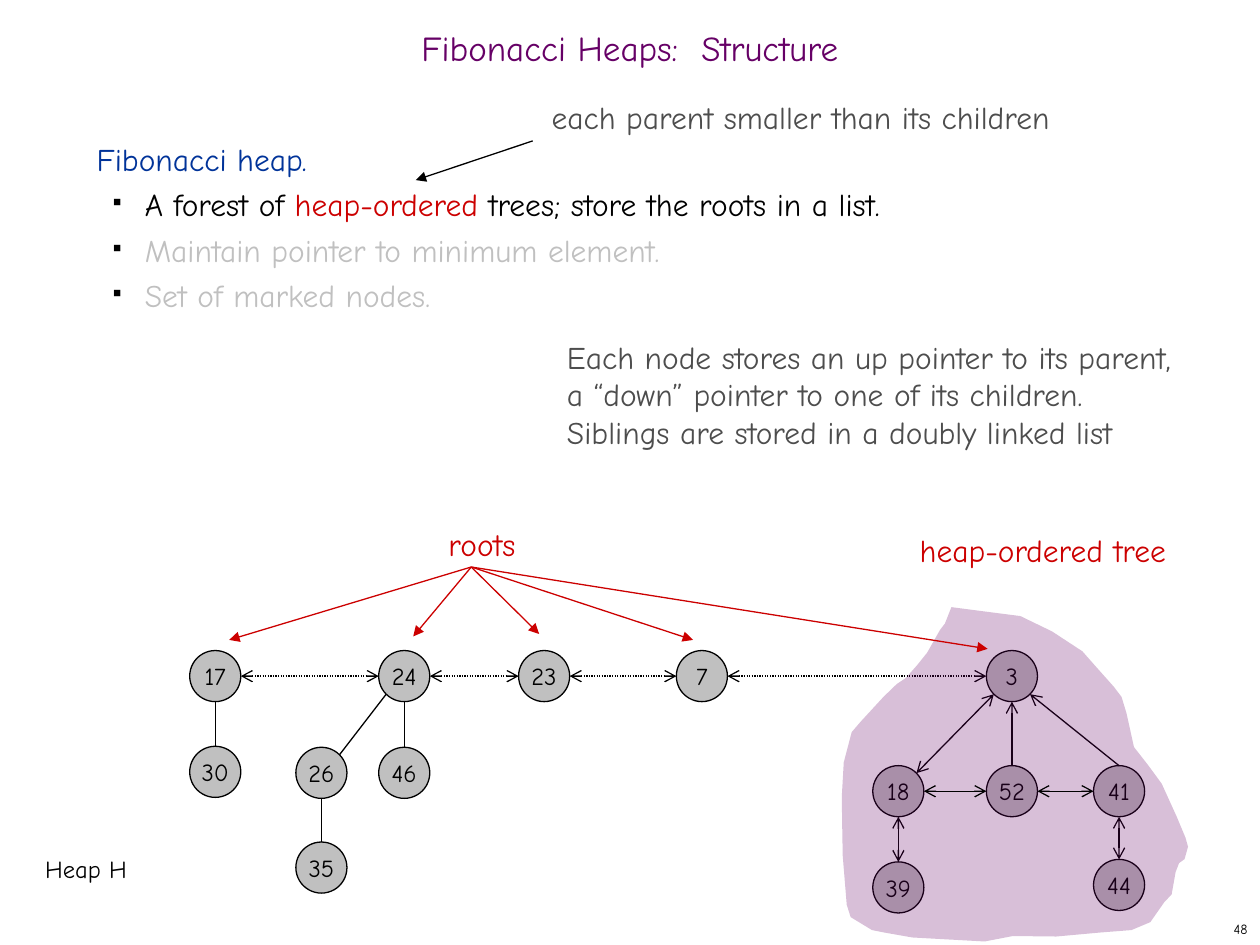
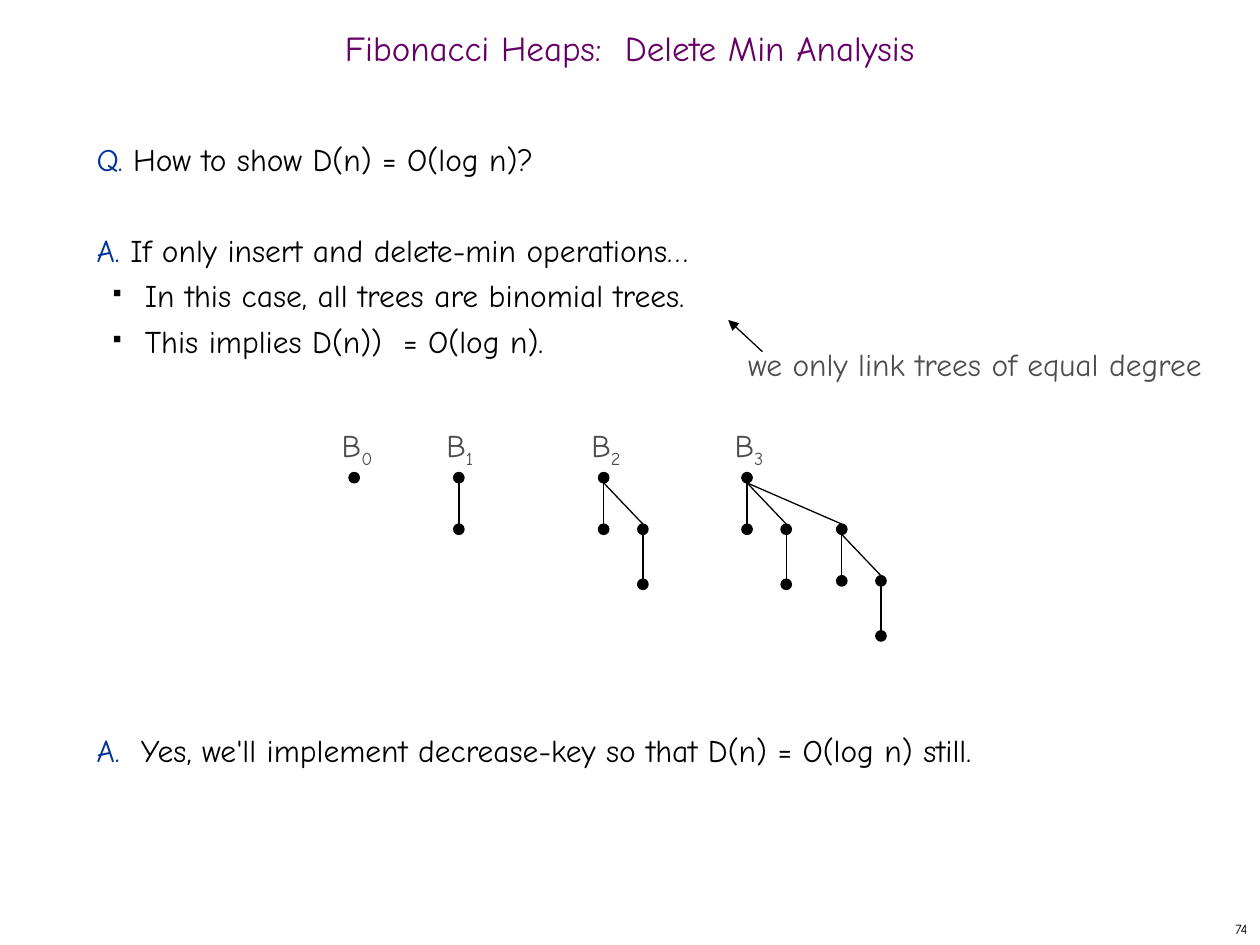
"""Build two slides on Fibonacci heaps: structure and delete-min analysis."""
import dataclasses
import math

import lxml.etree
import pptx
import pptx.dml.color
import pptx.enum.dml
import pptx.enum.shapes
import pptx.enum.text
import pptx.oxml.ns
import pptx.util

Cm = pptx.util.Cm
Pt = pptx.util.Pt
ALIGN = pptx.enum.text.PP_ALIGN
ANCHOR = pptx.enum.text.MSO_ANCHOR
OVAL = pptx.enum.shapes.MSO_SHAPE.OVAL
STRAIGHT = pptx.enum.shapes.MSO_CONNECTOR.STRAIGHT
qn = pptx.oxml.ns.qn

TOP, BOTTOM, LEFT, RIGHT = (0, -1), (0, 1), (-1, 0), (1, 0)
TOP_RIGHT, BOTTOM_LEFT, BOTTOM_RIGHT = (1, -1), (-1, 1), (1, 1)


@dataclasses.dataclass(frozen=True)
class Theme:
    font: str = "Comic Neue"
    black: str = "000000"
    purple: str = "660066"
    blue: str = "003399"
    red: str = "CC0000"
    grey: str = "4D4D4D"
    silver: str = "C0C0C0"
    dot: str = "010000"
    title_size: int = 20
    body_size: int = 18
    node_size: int = 14
    number_size: int = 8
    leading: int = 26
    line_width: float = 0.75
    node: float = 1.03
    dot_width: float = 0.21


class Deck:
    def __init__(self, theme):
        self.theme = theme
        self.prs = pptx.Presentation()
        self.prs.slide_width, self.prs.slide_height = Cm(25.4), Cm(19.05)
        self.s = None

    def slide(self, title, number):
        t = self.theme
        self.s = self.prs.slides.add_slide(self.prs.slide_layouts[6])
        tf = self.text(0, 0.43, 25.4, 1.27, [[(title, t.purple)]], t.title_size,
                       ALIGN.CENTER, ANCHOR.MIDDLE, wrap=True)
        tf.paragraphs[0].line_spacing = 0.7
        self.text(20.12, 18.42, 5.28, 0.63, [[(number, t.black)]], t.number_size,
                  ALIGN.RIGHT, ANCHOR.MIDDLE)

    def rgb(self, color):
        return pptx.dml.color.RGBColor.from_string(color)

    def style_run(self, r, size, color):
        r.font.name = self.theme.font
        r.font.size = Pt(size)
        r.font.color.rgb = self.rgb(color)

    def text(self, x, y, w, h, paragraphs, size, align=ALIGN.LEFT,
             anchor=ANCHOR.TOP, wrap=False):
        sp = self.s.shapes.add_textbox(Cm(x), Cm(y), Cm(w), Cm(h))
        tf = sp.text_frame
        tf.word_wrap = wrap
        tf.vertical_anchor = anchor
        for i, runs in enumerate(paragraphs):
            p = tf.add_paragraph() if i else tf.paragraphs[0]
            p.alignment = align
            for words, color in runs:
                r = p.add_run()
                r.text = words
                self.style_run(r, size, color)
        return tf

    def label(self, x, y, w, h, lines, color, size=None):
        paragraphs = [[(line, color)] for line in lines]
        return self.text(x, y, w, h, paragraphs, size or self.theme.body_size)

    def body(self, paragraphs, bullets, gaps=None):
        tf = self.text(1.7, 2.54, 21.79, 15.04, paragraphs,
                       self.theme.body_size, wrap=True)
        for i, p in enumerate(tf.paragraphs):
            p.line_spacing = Pt(self.theme.leading)
            if gaps and i in gaps:
                p.space_before = Pt(gaps[i] * self.theme.leading)
            if i in bullets:
                self.bullet(p)

    def bullet(self, p):
        pPr = p._p.get_or_add_pPr()
        pPr.set("marL", str(Cm(0.97)))
        pPr.set("indent", str(Cm(-0.64)))
        color = lxml.etree.SubElement(pPr, qn("a:buClr"))
        lxml.etree.SubElement(color, qn("a:srgbClr"), val=self.theme.black)
        lxml.etree.SubElement(pPr, qn("a:buSzPct"), val="35000")
        lxml.etree.SubElement(pPr, qn("a:buChar"), char="■")

    def oval(self, x, y, diameter, fill):
        sp = self.s.shapes.add_shape(OVAL, Cm(x - diameter / 2), Cm(y - diameter / 2),
                                     Cm(diameter), Cm(diameter))
        sp.shadow.inherit = False
        sp.fill.solid()
        sp.fill.fore_color.rgb = self.rgb(fill)
        sp.line.color.rgb = self.rgb(self.theme.black)
        sp.line.width = Pt(self.theme.line_width)
        return sp

    def node(self, key, x, y):
        sp = self.oval(x, y, self.theme.node, self.theme.silver)
        tf = sp.text_frame
        tf.word_wrap = False
        tf.vertical_anchor = ANCHOR.MIDDLE
        tf.text = str(key)
        p = tf.paragraphs[0]
        p.alignment = ALIGN.CENTER
        self.style_run(p.runs[0], self.theme.node_size, self.theme.black)
        return sp

    def connect(self, begin, end, color=None, head=None, tail=None, dotted=False):
        cx = self.s.shapes.add_connector(STRAIGHT, *begin, *end)
        cx.line.color.rgb = self.rgb(color or self.theme.black)
        cx.line.width = Pt(self.theme.line_width)
        if dotted:
            cx.line.dash_style = pptx.enum.dml.MSO_LINE.ROUND_DOT
        ln = cx.line._get_or_add_ln()
        for tag, kind in (("a:headEnd", head), ("a:tailEnd", tail)):
            if kind:
                lxml.etree.SubElement(ln, qn(tag), type=kind)
        lxml.etree.SubElement(cx._element.spPr, qn("a:effectLst"))

    def arrow(self, x1, y1, x2, y2, color=None):
        self.connect((Cm(x1), Cm(y1)), (Cm(x2), Cm(y2)), color, tail="triangle")

    def rim(self, sp, side):
        length = math.hypot(*side)
        return (int(sp.left + sp.width / 2 * (1 + side[0] / length)),
                int(sp.top + sp.height / 2 * (1 + side[1] / length)))

    def edge(self, a, a_side, b, b_side, **style):
        self.connect(self.rim(a, a_side), self.rim(b, b_side), **style)

    def region(self, points, color, alpha):
        outline = [(Cm(x), Cm(y)) for x, y in points]
        builder = self.s.shapes.build_freeform(*outline[0])
        builder.add_line_segments(outline[1:], close=True)
        sp = builder.convert_to_shape()
        sp.shadow.inherit = False
        sp.fill.solid()
        sp.fill.fore_color.rgb = self.rgb(color)
        sp.line.fill.background()
        fill = sp._element.spPr.find(qn("a:solidFill"))
        lxml.etree.SubElement(fill[0], qn("a:alpha"), val=str(alpha * 1000))

    def binomial_tree(self, order, x, y, parent=None):
        root = self.oval(x, y, self.theme.dot_width, self.theme.dot)
        if parent is not None:
            self.edge(parent, BOTTOM, root, TOP)
        drop = 1.11 if parent is not None and order == 1 else 1.04
        for child, offset in enumerate((0, 0.79, 1.91)[:order]):
            self.binomial_tree(child, x + offset, y + drop, root)

    def tree_name(self, order, x):
        t = self.theme
        tf = self.text(x - 0.5, 8.46, 1.17, 1.02,
                       [[("B", t.grey), (str(order), t.grey)]], t.body_size)
        tf.paragraphs[0].runs[1]._r.get_or_add_rPr().set("baseline", "-25000")


HEAP_NODES = {
    17: (4.34, 13.63), 24: (8.15, 13.63), 23: (10.97, 13.63), 7: (14.15, 13.63),
    3: (20.4, 13.63), 30: (4.34, 15.56), 26: (6.48, 15.58), 46: (8.15, 15.58),
    35: (6.48, 17.49), 18: (18.11, 15.95), 52: (20.4, 15.95), 41: (22.56, 15.95),
    39: (18.11, 17.89), 44: (22.56, 17.84),
}
ROOTS = (17, 24, 23, 7, 3)
ROOT_ARROW_ENDS = ((4.62, 12.9), (8.33, 12.83), (10.87, 12.78),
                   (13.97, 12.9), (19.91, 13.08))
TREE_REGION = (
    (19.18, 12.24), (19.87, 12.33), (20.57, 12.42), (21.21, 12.73), (21.82, 13.13),
    (22.12, 13.47), (22.45, 13.84), (22.61, 14.05), (22.71, 14.38), (22.86, 15.06),
    (23.15, 15.43), (23.42, 15.8), (23.72, 16.46), (23.9, 16.89), (23.95, 17.07),
    (23.88, 17.32), (23.77, 17.4), (23.7, 17.58), (23.62, 18.03), (23.47, 18.19),
    (23.19, 18.59), (22.81, 18.75), (22.17, 18.8), (21.29, 18.88), (20.42, 18.87),
    (19.85, 18.98), (18.39, 18.9), (17.83, 18.8), (17.58, 18.75), (17.15, 18.49),
    (17.07, 18.24), (16.99, 17.25), (16.98, 16.73), (16.97, 16.07), (17.01, 15.37),
    (17.17, 14.76), (17.35, 14.55), (17.81, 14.05), (18.08, 13.79), (18.26, 13.67),
    (18.49, 13.41), (18.69, 13.16), (18.95, 12.7), (19.05, 12.57),
)


def structure_slide(deck):
    t = deck.theme
    deck.slide("Fibonacci Heaps:  Structure", "48")
    nodes = {key: deck.node(key, *at) for key, at in HEAP_NODES.items()}
    both = {"head": "arrow", "tail": "arrow"}

    for a, b in zip(ROOTS, ROOTS[1:]):
        deck.edge(nodes[a], RIGHT, nodes[b], LEFT, dotted=True, **both)
    for child, parent in ((30, 17), (35, 26), (46, 24)):
        deck.edge(nodes[child], TOP, nodes[parent], BOTTOM)
    deck.edge(nodes[26], TOP_RIGHT, nodes[24], BOTTOM_LEFT)
    for child, parent in ((39, 18), (44, 41)):
        deck.edge(nodes[child], TOP, nodes[parent], BOTTOM, **both)
    deck.edge(nodes[18], TOP_RIGHT, nodes[3], BOTTOM_LEFT, **both)
    deck.edge(nodes[52], TOP, nodes[3], BOTTOM, tail="arrow")
    deck.edge(nodes[41], TOP, nodes[3], BOTTOM_RIGHT, tail="arrow")

    deck.label(0.66, 17.09, 2.21, 0.86, ["Heap H"], t.black, t.node_size)
    deck.body([
        [("Fibonacci heap.", t.blue)],
        [("A forest of ", t.black), ("heap-ordered ", t.red),
         ("trees; store the roots in a list.", t.black)],
        [("Maintain pointer to minimum element.", t.silver)],
        [("Set of marked nodes.", t.silver)],
    ], bullets=(1, 2, 3))
    deck.label(8.79, 10.46, 2.11, 1.02, ["roots"], t.red)
    deck.region(TREE_REGION, t.purple, 25)
    deck.label(18.29, 10.59, 6.1, 1.02, ["heap-ordered tree"], t.red)
    for end in ROOT_ARROW_ENDS:
        deck.arrow(9.5, 11.43, *end, t.red)
    for a, b in ((18, 52), (52, 41)):
        deck.edge(nodes[a], RIGHT, nodes[b], LEFT, **both)

    deck.label(10.87, 1.85, 11.51, 1.02, ["each parent smaller than its children"], t.grey)
    deck.arrow(10.74, 2.84, 8.38, 3.63)
    deck.label(11.18, 6.68, 13.87, 2.57, [
        "Each node stores an up pointer to its parent,",
        "a “down” pointer to one of its children.",
        "Siblings are stored in a doubly linked list",
    ], t.grey)


def analysis_slide(deck):
    t = deck.theme
    deck.slide("Fibonacci Heaps:  Delete Min Analysis", "74")
    deck.body([
        [("Q. ", t.blue), ("How to show D(n) = O(log n)?", t.black)],
        [("A. ", t.blue), ("If only insert and delete-min operations…", t.black)],
        [("In this case, all trees are binomial trees.", t.black)],
        [("This implies D(n))  = O(log n).", t.black)],
        [("A.  ", t.blue),
         ("Yes, we'll implement decrease-key so that D(n) = O(log n) still.", t.black)],
    ], bullets=(2, 3), gaps={1: 1, 4: 8})
    for order, x in enumerate((7.14, 9.25, 12.17, 15.06)):
        deck.binomial_tree(order, x, 9.63)
        deck.tree_name(order, x)
    deck.label(14.83, 6.83, 10.57, 1.02, ["we only link trees of equal degree"], t.grey)
    deck.arrow(15.37, 7.09, 14.68, 6.45)


def main():
    deck = Deck(Theme())
    structure_slide(deck)
    analysis_slide(deck)
    deck.prs.save("out.pptx")


if __name__ == "__main__":
    main()
